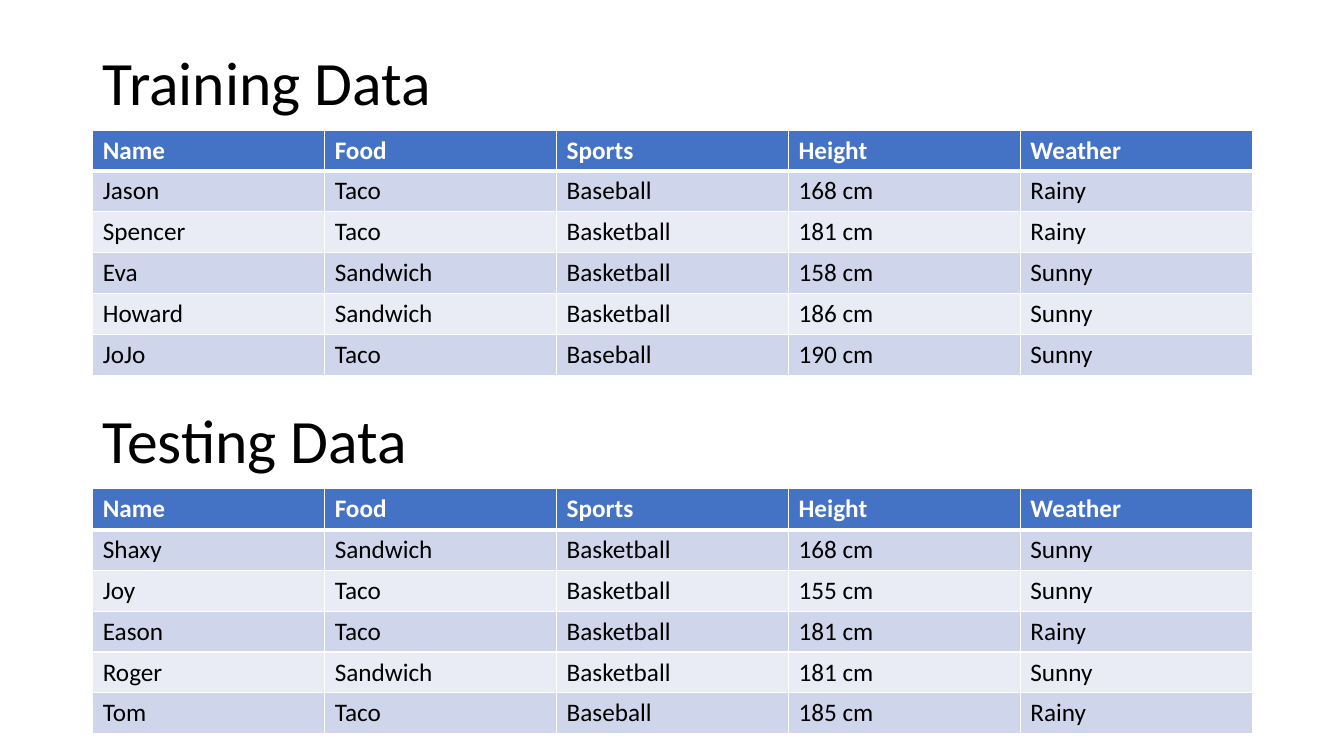
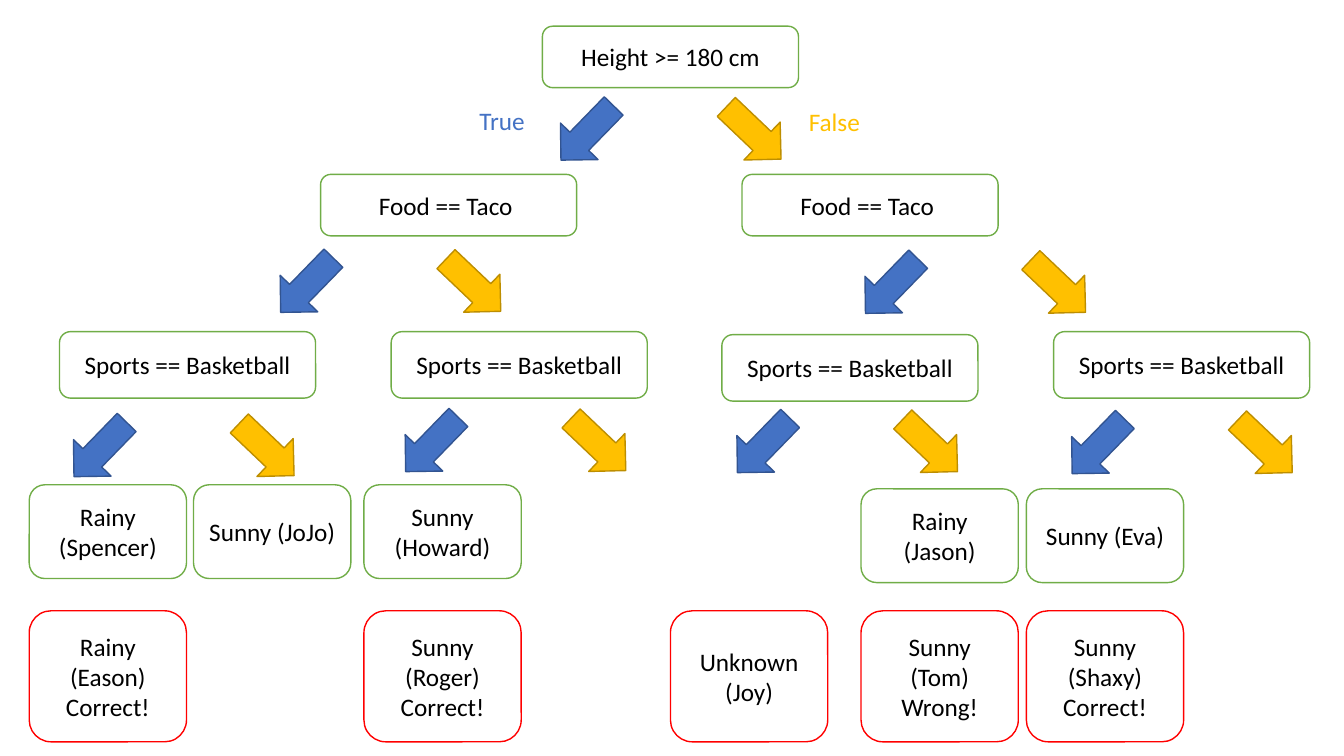
from lxml import etree
from pptx import Presentation
from pptx import util as u
from pptx.dml.color import RGBColor
from pptx.enum import shapes, text
from pptx.oxml import ns

# Shared style
FONT = "Calibri"
BLACK, WHITE, BLUE, GOLD = "000000", "FFFFFF", "4472C4", "FFC000"
GREEN, RED = "70AD47", "FF0000"
BANDS = ("CFD5EA", "E9EBF5")
SLIDE_WIDTH, SLIDE_HEIGHT = 13.33, 7.5

# Content: data tables
HEADER = ("Name", "Food", "Sports", "Height", "Weather")
DATA_SETS = [
    ("Training Data", [
        ("Jason", "Taco", "Baseball", "168 cm", "Rainy"),
        ("Spencer", "Taco", "Basketball", "181 cm", "Rainy"),
        ("Eva", "Sandwich", "Basketball", "158 cm", "Sunny"),
        ("Howard", "Sandwich", "Basketball", "186 cm", "Sunny"),
        ("JoJo", "Taco", "Baseball", "190 cm", "Sunny"),
    ]),
    ("Testing Data", [
        ("Shaxy", "Sandwich", "Basketball", "168 cm", "Sunny"),
        ("Joy", "Taco", "Basketball", "155 cm", "Sunny"),
        ("Eason", "Taco", "Basketball", "181 cm", "Rainy"),
        ("Roger", "Sandwich", "Basketball", "181 cm", "Sunny"),
        ("Tom", "Taco", "Baseball", "185 cm", "Rainy"),
    ]),
]
TABLE_LEFT, TABLE_WIDTH, ROW_HEIGHT = 0.92, 11.5, 0.405
TITLE_TOP, TITLE_HEIGHT, SECTION_STEP = 0.4, 0.89, 3.56

# Content: decision tree, each level as (width, height, outline, nodes);
# a node is (left, top, text)
FOOD, SPORTS = "Food == Taco ", "Sports == Basketball"
LEVELS = [
    (2.54, 0.61, GREEN, [(5.38, 0.26, "Height >= 180 cm")]),
    (2.54, 0.61, GREEN, [(3.18, 1.73, FOOD), (7.36, 1.73, FOOD)]),
    (2.54, 0.66, GREEN, [(0.59, 3.29, SPORTS), (3.88, 3.29, SPORTS),
                         (7.16, 3.32, SPORTS), (10.45, 3.29, SPORTS)]),
    (1.56, 0.93, GREEN, [(0.29, 4.81, "Rainy (Spencer)"), (1.92, 4.81, "Sunny (JoJo)"),
                         (3.61, 4.81, "Sunny (Howard)"), (8.54, 4.85, "Rainy (Jason)"),
                         (10.18, 4.85, "Sunny (Eva)")]),
    (1.56, 1.3, RED, [(0.29, 6.06, "Rainy (Eason)\nCorrect!"),
                      (3.61, 6.06, "Sunny (Roger)\nCorrect!"),
                      (6.65, 6.06, "Unknown (Joy)"),
                      (8.54, 6.06, "Sunny (Tom)\nWrong!"),
                      (10.18, 6.06, "Sunny (Shaxy)\nCorrect!")]),
]
# Left and top of the "true" arrow of each split
SPLITS = [(5.45, 1.06), (2.67, 2.57), (8.47, 2.58), (0.62, 4.2),
          (3.91, 4.15), (7.2, 4.16), (10.52, 4.17)]
# Offset from the split, rotation, fill, outline
BRANCHES = [(0, 134.2, BLUE, "325491"), (1.65, 43.6, GOLD, "BD8E00")]
ARROW_SIZE = (0.75, 0.52)
LABELS = [(4.65, 1.0, 0.66, "True", BLUE), (7.92, 1.01, 0.71, "False", GOLD)]


def color(value):
    return RGBColor.from_string(value)


def inches(*lengths):
    return [u.Inches(length) for length in lengths]


def write(frame, content, ink=BLACK, size=18, bold=False, wrap=True, **paragraph_format):
    frame.text = content
    frame.word_wrap = wrap
    for paragraph in frame.paragraphs:
        for name, value in paragraph_format.items():
            setattr(paragraph, name, value)
        font = paragraph.font
        for name, value in {"name": FONT, "size": u.Pt(size), "bold": bold}.items():
            setattr(font, name, value)
        font.color.rgb = color(ink)


def add_figure(slide, kind, box, fill, outline):
    shape = slide.shapes.add_shape(kind, *inches(*box))
    shape.shadow.inherit = False
    shape.fill.solid()
    shape.fill.fore_color.rgb = color(fill)
    shape.line.color.rgb = color(outline)
    shape.line.width = u.Pt(1)
    return shape


def set_borders(cell, widths):
    properties = cell._tc.get_or_add_tcPr()
    for index, (side, width) in enumerate(widths.items()):
        line = etree.Element(ns.qn(f"a:ln{side}"), w=str(u.Pt(width)))
        fill = etree.SubElement(line, ns.qn("a:solidFill"))
        etree.SubElement(fill, ns.qn("a:srgbClr"), val=WHITE)
        properties.insert(index, line)


def add_data_table(slide, top, records):
    rows = [HEADER, *records]
    box = inches(TABLE_LEFT, top, TABLE_WIDTH, ROW_HEIGHT * len(rows))
    table = slide.shapes.add_table(len(rows), len(HEADER), *box).table
    for row_index, row in enumerate(rows):
        table.rows[row_index].height = u.Inches(ROW_HEIGHT)
        is_header = row_index == 0
        band = BLUE if is_header else BANDS[(row_index - 1) % 2]
        widths = {"L": 1, "R": 1, "T": 3 if row_index == 1 else 1, "B": 3 if is_header else 1}
        for column_index, value in enumerate(row):
            cell = table.cell(row_index, column_index)
            write(cell.text_frame, value, WHITE if is_header else BLACK, bold=is_header)
            cell.fill.solid()
            cell.fill.fore_color.rgb = color(band)
            set_borders(cell, widths)


def build_data_slide(presentation):
    slide = presentation.slides.add_slide(presentation.slide_layouts[5])
    for index, (heading, records) in enumerate(DATA_SETS):
        top = TITLE_TOP + index * SECTION_STEP
        box = inches(TABLE_LEFT, top, TABLE_WIDTH, TITLE_HEIGHT)
        if index == 0:
            shape = slide.shapes.title
            shape.left, shape.top, shape.width, shape.height = box
        else:
            shape = slide.shapes.add_textbox(*box)
        write(shape.text_frame, heading, size=44, line_spacing=0.9,
              alignment=text.PP_ALIGN.LEFT)
        shape.text_frame.vertical_anchor = text.MSO_ANCHOR.MIDDLE
        add_data_table(slide, top + TITLE_HEIGHT, records)


def build_tree_slide(presentation):
    slide = presentation.slides.add_slide(presentation.slide_layouts[6])
    kinds = shapes.MSO_SHAPE
    center = text.PP_ALIGN.CENTER
    # Nodes
    for width, height, outline, nodes in LEVELS:
        for left, top, content in nodes:
            shape = add_figure(slide, kinds.ROUNDED_RECTANGLE,
                               (left, top, width, height), WHITE, outline)
            write(shape.text_frame, content, alignment=center)
            shape.text_frame.vertical_anchor = text.MSO_ANCHOR.MIDDLE
    # Branch arrows
    for left, top in SPLITS:
        for offset, rotation, fill, outline in BRANCHES:
            arrow = add_figure(slide, kinds.RIGHT_ARROW,
                               (left + offset, top, *ARROW_SIZE), fill, outline)
            arrow.rotation = rotation
    # Branch labels
    for left, top, width, content, ink in LABELS:
        label = slide.shapes.add_textbox(*inches(left, top, width, 0.4))
        write(label.text_frame, content, ink, wrap=False, alignment=center)
        label.text_frame.auto_size = text.MSO_AUTO_SIZE.SHAPE_TO_FIT_TEXT


def main():
    presentation = Presentation()
    presentation.slide_width, presentation.slide_height = inches(SLIDE_WIDTH, SLIDE_HEIGHT)
    build_data_slide(presentation)
    build_tree_slide(presentation)
    presentation.save("out.pptx")


if __name__ == "__main__":
    main()
